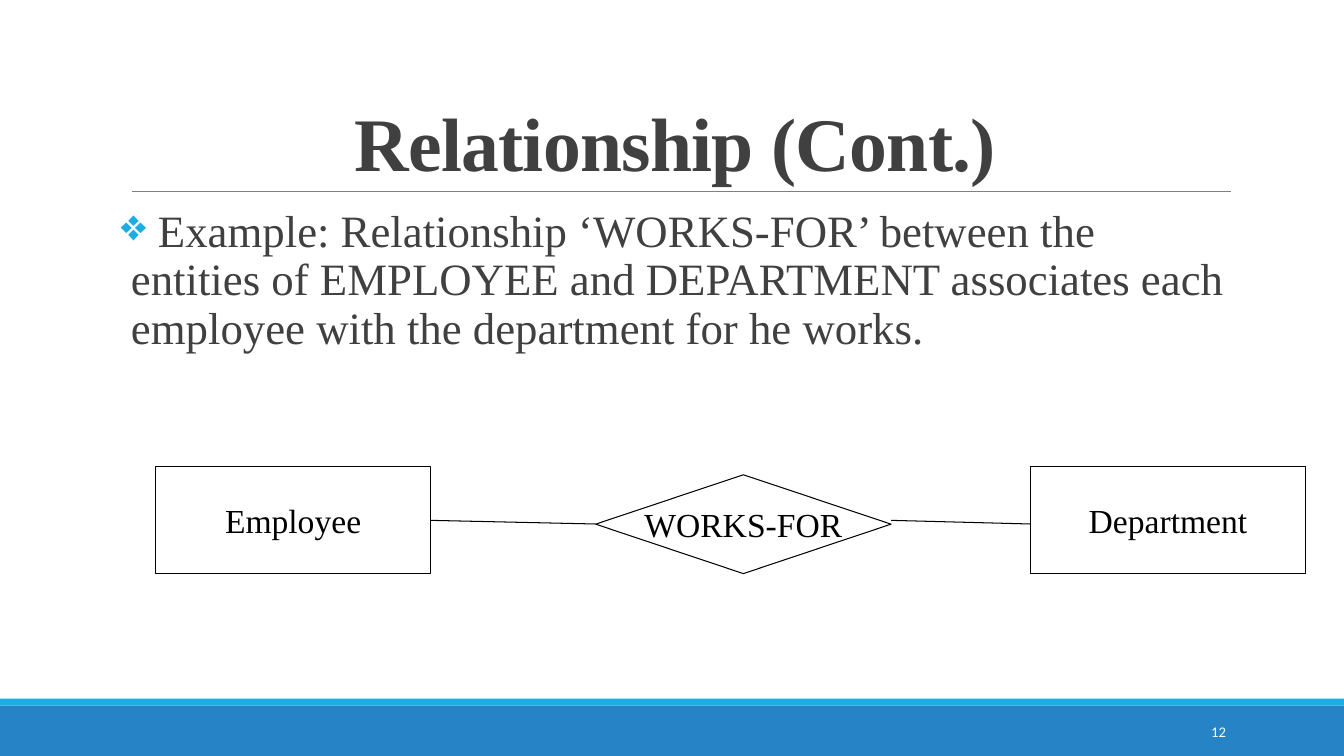
from pptx import Presentation
from pptx.util import Pt
from pptx.dml.color import RGBColor
from pptx.enum.shapes import MSO_SHAPE, MSO_CONNECTOR
from pptx.enum.text import PP_ALIGN, MSO_ANCHOR
from lxml.etree import SubElement
from pptx.oxml.ns import qn

# Content
TITLE = "Relationship (Cont.)"
BODY = (" Example: Relationship ‘WORKS-FOR’ between the entities of EMPLOYEE "
        "and DEPARTMENT associates each employee with the department for he works.")
PAGE = "12"
SERIF, SANS = "Times New Roman", "Calibri"
DARK, BLACK, WHITE = "404040", "000000", "FFFFFF"
BLUE, CYAN, GRAY = "2683C6", "1CADE4", "808080"

# Lengths in points: left, top, width, height
BANDS = [(BLUE, (0, 504, 960, 36)), (CYAN, (0, 499, 960, 5))]
NODES = [
    ("Employee", MSO_SHAPE.RECTANGLE, (111.3, 333.2, 196.2, 76.3)),
    ("WORKS-FOR", MSO_SHAPE.FLOWCHART_DECISION, (425.5, 339.1, 211, 70.6)),
    ("Department", MSO_SHAPE.RECTANGLE, (736.2, 333.2, 196.2, 76.3)),
]
EXIT, ENTRY = 371.7, 374.3  # heights where links leave and arrive

deck = Presentation()
deck.slide_width, deck.slide_height = Pt(960), Pt(540)
slide = deck.slides.add_slide(deck.slide_layouts[6])


def color(code):
    return RGBColor.from_string(code)


def write(shape, text, size, hue, align, anchor, font=SERIF, wrap=True):
    frame = shape.text_frame
    frame.word_wrap = wrap
    frame.vertical_anchor = anchor
    para = frame.paragraphs[0]
    para.text = text
    para.alignment = align
    para.font.size, para.font.name = Pt(size), font
    para.font.color.rgb = color(hue)
    return para


def label(box, *args, **opts):
    shape = slide.shapes.add_textbox(*map(Pt, box))
    return shape, write(shape, *args, **opts)


def block(kind, box, fill=None, edge=None):
    shape = slide.shapes.add_shape(kind, *map(Pt, box))
    shape.shadow.inherit = False
    if fill:
        shape.fill.solid()
        shape.fill.fore_color.rgb = color(fill)
    else:
        shape.fill.background()
    if edge:
        shape.line.color.rgb = color(edge)
        shape.line.width = Pt(0.75)
    else:
        shape.line.fill.background()
    return shape


def link(x1, y1, x2, y2, hue, width):
    line = slide.shapes.add_connector(MSO_CONNECTOR.STRAIGHT, *map(Pt, (x1, y1, x2, y2)))
    line.line.color.rgb = color(hue)
    line.line.width = Pt(width)
    SubElement(line._element.spPr, qn("a:effectLst"))


# Footer bands and title rule
for hue, box in BANDS:
    block(MSO_SHAPE.RECTANGLE, box, fill=hue)
link(94, 136.8, 879, 136.8, GRAY, 0.5)

# Title
_, head = label((86.4, 22.3, 792, 114.5), TITLE, 54, DARK,
                PP_ALIGN.CENTER, MSO_ANCHOR.BOTTOM)
head.font.bold = True
head.line_spacing = 0.85
head.runs[0]._r.get_or_add_rPr().set("spc", "-50")

# Bulleted body
shape, body = label((86.4, 145.4, 792, 341.3), BODY, 32, DARK,
                    PP_ALIGN.LEFT, MSO_ANCHOR.TOP)
shape.text_frame.margin_left = shape.text_frame.margin_right = 0
body.line_spacing = 0.9
body.space_before, body.space_after = Pt(12), Pt(2)
props = body._p.get_or_add_pPr()
props.set("marL", str(Pt(7.2)))
props.set("indent", str(-Pt(7.2)))
tint = SubElement(props, qn("a:buClr"))
SubElement(tint, qn("a:srgbClr"), val=CYAN)
SubElement(props, qn("a:buChar"), char="❖")
props.append(props.find(qn("a:defRPr")))  # schema order: bullet before defRPr

# Entities and their relationship
for text, kind, box in NODES:
    write(block(kind, box, edge=BLACK), text, 24, BLACK,
          PP_ALIGN.CENTER, MSO_ANCHOR.MIDDLE, wrap=False)
for (_, _, left), (_, _, right) in zip(NODES, NODES[1:]):
    link(right[0], ENTRY, left[0] + left[2], EXIT, BLACK, 0.75)

# Page number
label((779.8, 508.3, 103, 28.8), PAGE, 10.5, WHITE,
      PP_ALIGN.RIGHT, MSO_ANCHOR.MIDDLE, font=SANS)

deck.save("out.pptx")
